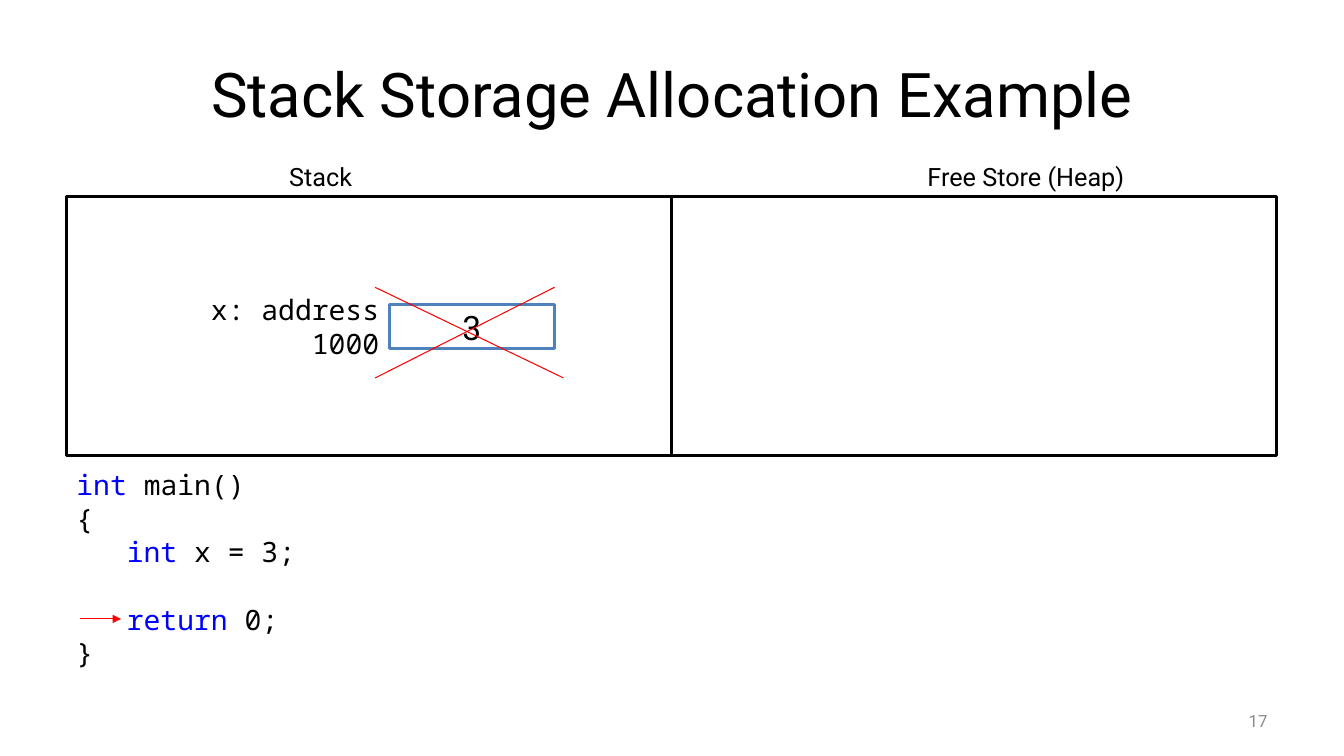
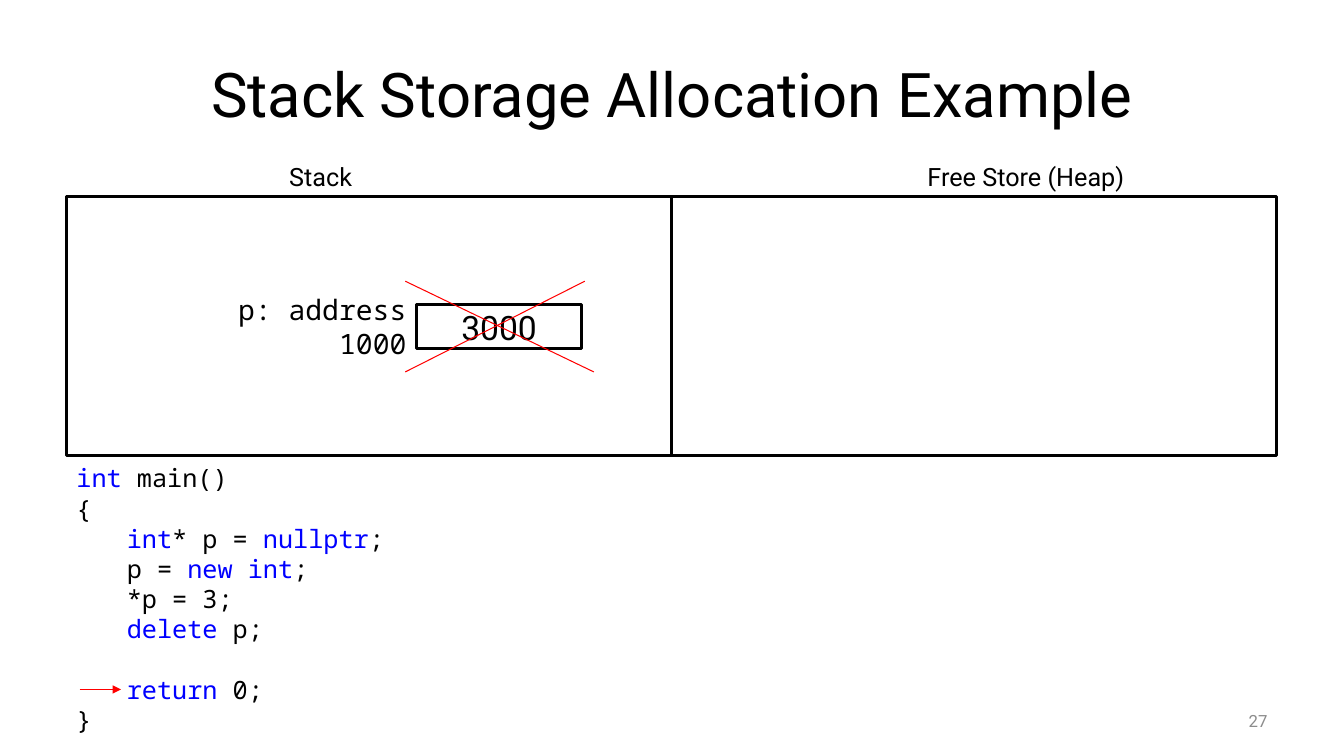
from pptx import Presentation
from pptx.dml.color import RGBColor
from pptx.enum.shapes import MSO_CONNECTOR as CONNECTOR, MSO_SHAPE as SHAPE
from pptx.enum.text import MSO_ANCHOR as ANCHOR, PP_ALIGN as ALIGN
from pptx.oxml.ns import qn
from pptx.util import Inches, Pt
from lxml.etree import SubElement

COLORS = {"text": "000000", "paper": "FFFFFF", "keyword": "0000FF",
          "accent": "4F81BD", "mark": "FF0000", "number": "8C8C8C"}
SANS, MONO = "Roboto", "Noto Sans Mono"
LINE_HEIGHT = 1.2

TITLE = "Stack Storage Allocation Example"
REGIONS = [("Stack", 2.77, 1.21), ("Free Store (Heap)", 9.1, 2.49)]
REGION_LEFT, REGION_TOP, REGION_WIDTH, REGION_HEIGHT = 0.66, 1.95, 6, 2.57
VARIABLE_TOP, VARIABLE_WIDTH, VARIABLE_HEIGHT = 3.02, 1.64, 0.44
LABEL_WIDTH = 2.58
CROSS_HEIGHT, FALLING_WIDTH, RISING_WIDTH = 0.9, 1.87, 1.78

# Code lines are (indent level, empty lines above, text with `keywords`).
EXAMPLES = [
    {"number": "17", "label": "x: address 1000", "value": "3",
     "variable_left": 3.86, "outline": "accent", "cross": (3.72, 2.85),
     "code_top": 4.59, "code_size": 20,
     "code": [(0, 0, "`int` main()"),
              (0, 0, "{"),
              (1, 0, "`int` x = 3;"),
              (1, 1, "`return` 0;"),
              (0, 0, "}")]},
    {"number": "27", "label": "p: address 1000", "value": "3000",
     "variable_left": 4.13, "outline": "text", "cross": (4.02, 2.79),
     "code_top": 4.54, "code_size": 18,
     "code": [(0, 0, "`int` main()"),
              (0, 0, "{"),
              (1, 0, "`int`* p = `nullptr`;"),
              (1, 0, "p = `new int`;"),
              (1, 0, "*p = 3;"),
              (1, 0, "`delete` p;"),
              (1, 1, "`return` 0;"),
              (0, 0, "}")]},
]


def color(name):
    return RGBColor.from_string(COLORS[name])


def style(font, size, face, color_name="text"):
    font.size, font.name = Pt(size), face
    font.color.rgb = color(color_name)


def write(shape, text, size, face=SANS, align=ALIGN.LEFT,
          anchor=ANCHOR.TOP, color_name="text"):
    frame = shape.text_frame
    frame.text = text
    frame.word_wrap = True
    frame.vertical_anchor = anchor
    paragraph = frame.paragraphs[0]
    paragraph.alignment = align
    style(paragraph.runs[0].font, size, face, color_name)


def add_text(slide, box, *args, **options):
    write(slide.shapes.add_textbox(*map(Inches, box)), *args, **options)


def add_box(slide, box, outline):
    rect = slide.shapes.add_shape(SHAPE.RECTANGLE, *map(Inches, box))
    rect.shadow.inherit = False
    rect.fill.solid()
    rect.fill.fore_color.rgb = color("paper")
    rect.line.color.rgb = color(outline)
    rect.line.width = Pt(2)
    return rect


def add_mark(slide, start, end, arrow=False):
    mark = slide.shapes.add_connector(
        CONNECTOR.STRAIGHT, *map(Inches, (*start, *end)))
    mark.line.color.rgb = color("mark")
    mark.line.width = Pt(0.75)
    if arrow:
        SubElement(mark.line._get_or_add_ln(), qn("a:tailEnd"), type="triangle")
    SubElement(mark._element.spPr, qn("a:effectLst"))


def add_title(slide):
    title = slide.shapes.title
    title.left, title.top, title.width, title.height = map(
        Inches, (0.67, 0.3, 12, 1.25))
    write(title, TITLE, 44, align=ALIGN.CENTER, anchor=ANCHOR.MIDDLE)


def add_regions(slide):
    for column, (name, left, width) in enumerate(REGIONS):
        add_box(slide, (REGION_LEFT + column * REGION_WIDTH, REGION_TOP,
                        REGION_WIDTH, REGION_HEIGHT), "text")
        add_text(slide, (left, 1.55, width, 0.4), name, 18)


def add_variable(slide, example):
    left = example["variable_left"]
    cell = add_box(slide, (left, VARIABLE_TOP, VARIABLE_WIDTH, VARIABLE_HEIGHT),
                   example["outline"])
    write(cell, example["value"], 24, align=ALIGN.CENTER, anchor=ANCHOR.MIDDLE)
    add_text(slide, (left - LABEL_WIDTH, VARIABLE_TOP, LABEL_WIDTH, VARIABLE_HEIGHT),
             example["label"], 20, MONO, ALIGN.RIGHT, ANCHOR.MIDDLE)


def add_code(slide, example):
    top, size, code = example["code_top"], example["code_size"], example["code"]
    pitch = size * LINE_HEIGHT
    rows = sum(1 + gap for _, gap, _ in code)
    listing = slide.shapes.add_textbox(
        *map(Inches, (0.66, top, 12, rows * pitch / 72 + 0.1)))
    frame = listing.text_frame
    frame.word_wrap = True
    for index, (level, gap, text) in enumerate(code):
        line = frame.paragraphs[0] if index == 0 else frame.add_paragraph()
        if level:
            line._p.get_or_add_pPr().set("marL", str(Inches(0.5 * level)))
        if gap:
            line.space_before = Pt(gap * pitch)
        for part, words in enumerate(text.split("`")):
            if words:
                run = line.add_run()
                run.text = words
                style(run.font, size, MONO, "keyword" if part % 2 else "text")
    return_y = top + 0.05 + (rows - 1.5) * pitch / 72
    add_mark(slide, (0.79, return_y), (1.2, return_y), arrow=True)


def add_cross(slide, left, top):
    bottom = top + CROSS_HEIGHT
    add_mark(slide, (left, top), (left + FALLING_WIDTH, bottom))
    add_mark(slide, (left, bottom), (left + RISING_WIDTH, top))


def main():
    deck = Presentation()
    deck.slide_width, deck.slide_height = Inches(13.33), Inches(7.5)
    for example in EXAMPLES:
        slide = deck.slides.add_slide(deck.slide_layouts[5])
        add_title(slide)
        add_text(slide, (9.56, 6.95, 3.11, 0.4), example["number"], 12,
                 align=ALIGN.RIGHT, anchor=ANCHOR.MIDDLE, color_name="number")
        add_regions(slide)
        add_variable(slide, example)
        add_code(slide, example)
        add_cross(slide, *example["cross"])
    deck.save("out.pptx")


if __name__ == "__main__":
    main()
